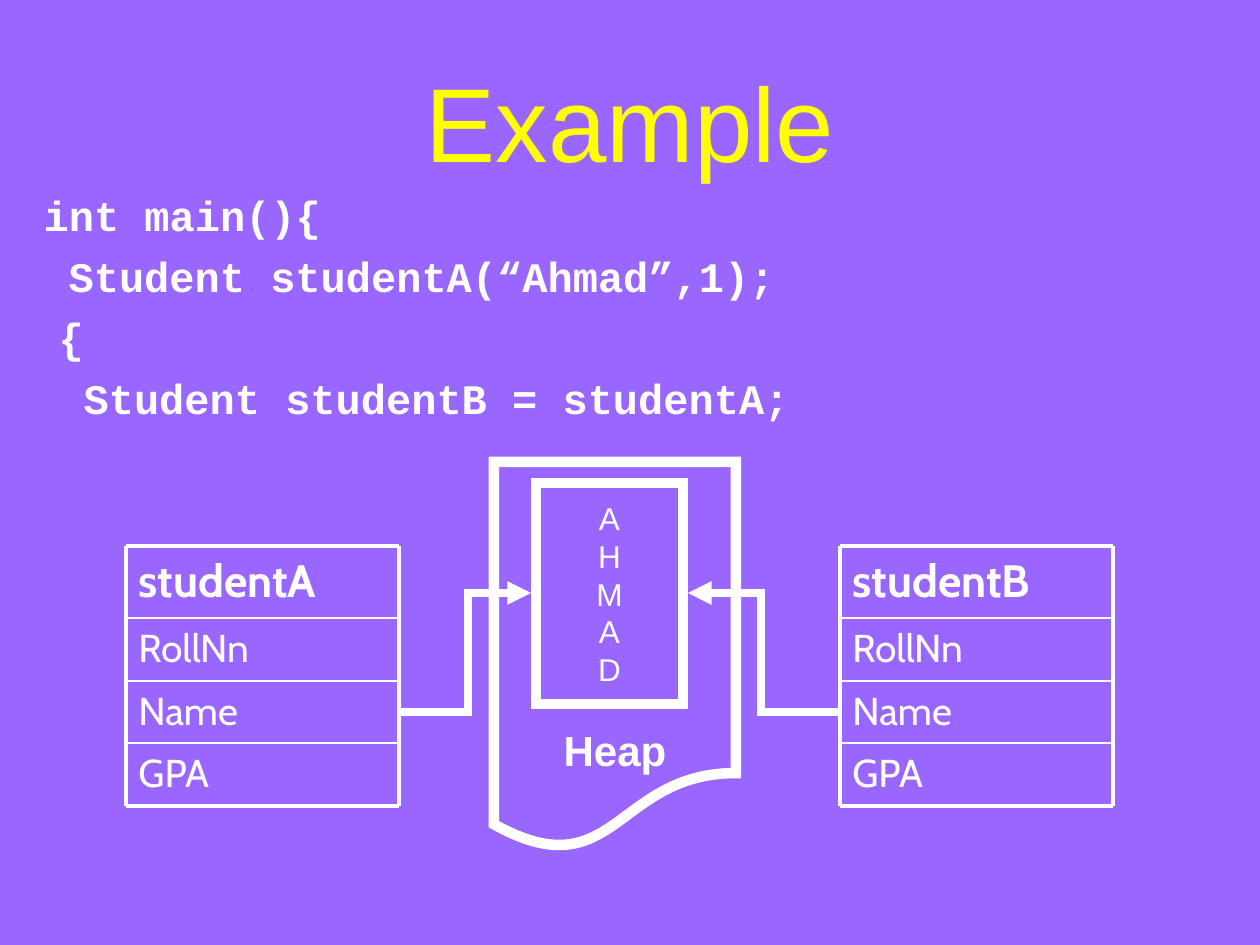
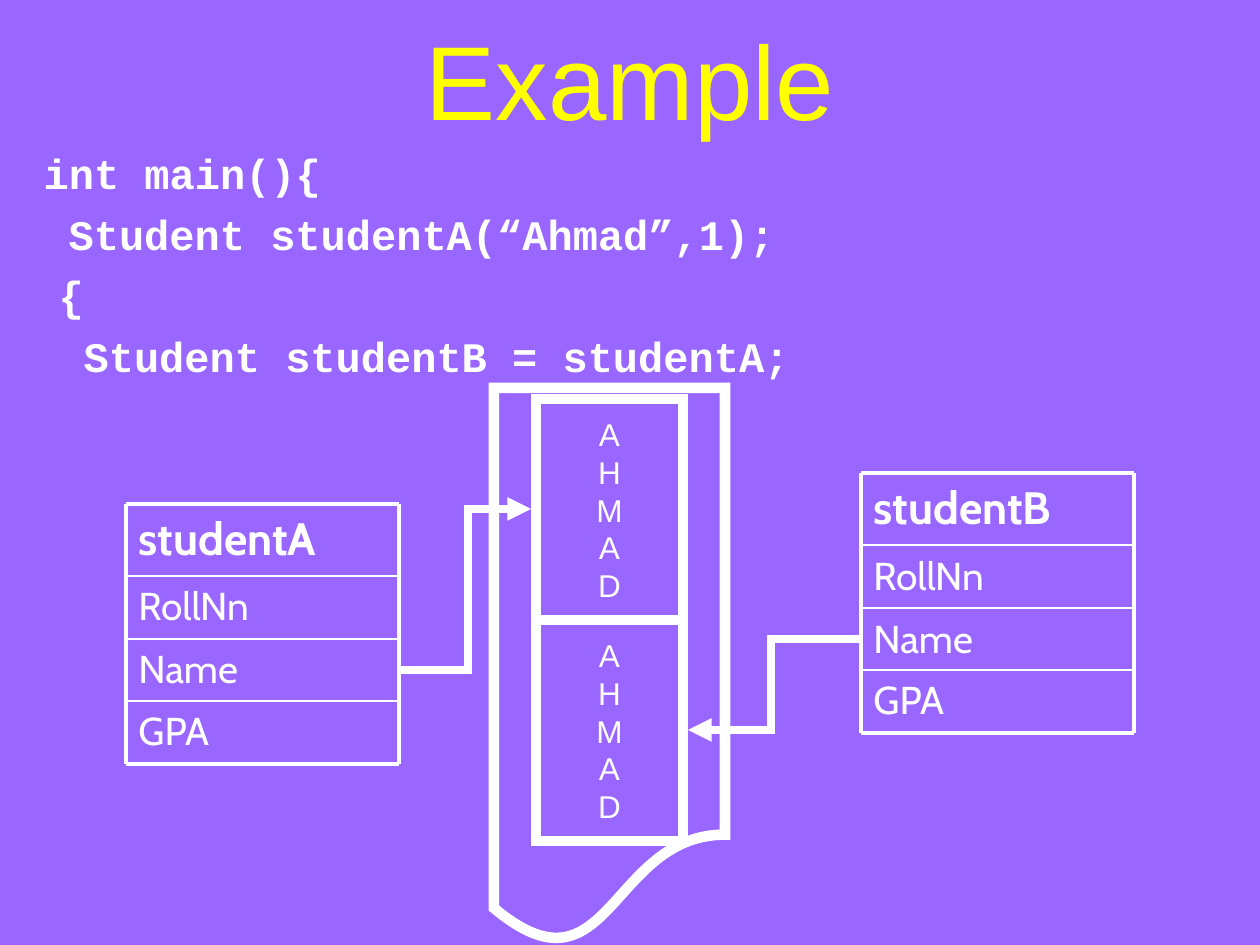
import dataclasses
import itertools

import lxml.etree
import pptx
import pptx.dml.color
import pptx.enum.shapes
import pptx.enum.text
import pptx.oxml.ns
import pptx.presentation
import pptx.shapes.autoshape
import pptx.shapes.connector
import pptx.slide
import pptx.text.text
import pptx.util

EMU_PER_PX = 914400 / 126
PURPLE, YELLOW, WHITE = "9966FF", "FFFF00", "FFFFFF"
OBJECT_WIDTH = 273
ROW_HEIGHTS = (72, 63, 62, 63)
ROW_EDGES = (0, *itertools.accumulate(ROW_HEIGHTS))
FIELDS = ("RollNn", "Name", "GPA")
NAME_ROW_MIDDLE = (ROW_EDGES[2] + ROW_EDGES[3]) // 2
HEAP_LEFT = 494
BUFFER_LEFT, BUFFER_WIDTH, BUFFER_HEIGHT = 536, 147, 221
BUFFER_EDGE = 5
CODE = (
    ("int main(){", 0),
    ("Student studentA(“Ahmad”,1);", 25),
    ("{", 15),
    ("Student studentB = studentA;", 40),
)


@dataclasses.dataclass(frozen=True)
class StudentObject:
    name: str
    left: int
    top: int
    buffer_top: int


@dataclasses.dataclass(frozen=True)
class Heap:
    top: int
    width: int
    height: int
    label: str = ""


@dataclasses.dataclass(frozen=True)
class Example:
    title_top: int
    heap: Heap
    students: tuple[StudentObject, ...]


EXAMPLES = (
    Example(42, Heap(462, 242, 388, "Heap"), (
        StudentObject("studentA", 126, 546, 483),
        StudentObject("studentB", 840, 546, 483),
    )),
    Example(0, Heap(388, 231, 557), (
        StudentObject("studentA", 126, 504, 399),
        StudentObject("studentB", 861, 473, 620),
    )),
)


def px(length: int) -> pptx.util.Emu:
    return pptx.util.Emu(round(length * EMU_PER_PX))


def color(value: str) -> pptx.dml.color.RGBColor:
    return pptx.dml.color.RGBColor.from_string(value)


def style(paragraph: pptx.text.text._Paragraph, font: str, size: float,
          ink: str = WHITE, bold: bool = False) -> None:
    paragraph.font.name = font
    paragraph.font.size = pptx.util.Pt(size)
    paragraph.font.bold = bold
    paragraph.font.color.rgb = color(ink)


def place(shape: pptx.shapes.autoshape.Shape, left: int, top: int, width: int, height: int) -> None:
    shape.left, shape.top, shape.width, shape.height = map(px, (left, top, width, height))


def write_title(slide: pptx.slide.Slide, top: int) -> None:
    title = slide.shapes.title
    place(title, 63, top, 1134, 157)
    title.text_frame.text = "Example"
    title.text_frame.auto_size = pptx.enum.text.MSO_AUTO_SIZE.NONE
    title.text_frame.vertical_anchor = pptx.enum.text.MSO_ANCHOR.MIDDLE
    style(title.text_frame.paragraphs[0], "Arial", 60, YELLOW)


def write_code(slide: pptx.slide.Slide, top: int) -> None:
    body = slide.placeholders[1]
    place(body, 31, top, 830, 252)
    frame = body.text_frame
    frame.auto_size = pptx.enum.text.MSO_AUTO_SIZE.NONE
    frame.text = "\n".join(line for line, _ in CODE)
    for paragraph, (_, indent) in zip(frame.paragraphs, CODE):
        style(paragraph, "Courier New", 24, bold=True)
        paragraph.space_before = pptx.util.Pt(6)
        properties = paragraph._p.get_or_add_pPr()
        properties.set("marL", str(px(indent)))
        properties.set("indent", "0")
        bullet = lxml.etree.SubElement(properties, pptx.oxml.ns.qn("a:buNone"))
        properties.find(pptx.oxml.ns.qn("a:defRPr")).addprevious(bullet)


def draw_outline(slide: pptx.slide.Slide, kind: pptx.enum.shapes.MSO_SHAPE, left: int, top: int,
                 width: int, height: int, text: str, size: int,
                 bold: bool = False) -> pptx.shapes.autoshape.Shape:
    outline = slide.shapes.add_shape(kind, *map(px, (left, top, width, height)))
    outline.shadow.inherit = False
    outline.fill.background()
    outline.line.color.rgb = color(WHITE)
    outline.line.width = pptx.util.Pt(6)
    miter_corners(outline)
    if text:
        frame = outline.text_frame
        frame.word_wrap = False
        frame.vertical_anchor = pptx.enum.text.MSO_ANCHOR.MIDDLE
        frame.text = text
        for paragraph in frame.paragraphs:
            paragraph.alignment = pptx.enum.text.PP_ALIGN.CENTER
            style(paragraph, "Arial", size, bold=bold)
    return outline


def miter_corners(
        shape: pptx.shapes.autoshape.Shape | pptx.shapes.connector.Connector) -> None:
    line = shape.line._get_or_add_ln()
    lxml.etree.SubElement(line, pptx.oxml.ns.qn("a:miter"), lim="800000")


def draw_heap(slide: pptx.slide.Slide, heap: Heap) -> None:
    region = draw_outline(slide, pptx.enum.shapes.MSO_SHAPE.FLOWCHART_DOCUMENT,
                          HEAP_LEFT, heap.top, heap.width, heap.height, heap.label, 24, True)
    if heap.label:
        region.text_frame.vertical_anchor = pptx.enum.text.MSO_ANCHOR.BOTTOM
        region.text_frame.margin_bottom = px(-2)


def connect(slide: pptx.slide.Slide, kind: pptx.enum.shapes.MSO_CONNECTOR,
            start: tuple[int, int], end: tuple[int, int],
            width: float) -> pptx.shapes.connector.Connector:
    connector = slide.shapes.add_connector(kind, *map(px, start + end))
    connector.line.color.rgb = color(WHITE)
    connector.line.width = pptx.util.Pt(width)
    lxml.etree.SubElement(connector._element.spPr, pptx.oxml.ns.qn("a:effectLst"))
    return connector


def draw_student(slide: pptx.slide.Slide, student: StudentObject) -> None:
    for index, text in enumerate((student.name, *FIELDS)):
        bounds = (student.left, student.top + ROW_EDGES[index], OBJECT_WIDTH, ROW_HEIGHTS[index])
        frame = slide.shapes.add_textbox(*map(px, bounds)).text_frame
        frame.word_wrap = True
        frame.text = text
        style(frame.paragraphs[0], "Cabin", 22.2 if index else 25.9, bold=index == 0)

    straight = pptx.enum.shapes.MSO_CONNECTOR.STRAIGHT
    right, bottom = student.left + OBJECT_WIDTH, student.top + ROW_EDGES[-1]
    for edge in ROW_EDGES:
        y = student.top + edge
        connect(slide, straight, (student.left, y), (right, y),
                2.25 if y in (student.top, bottom) else 1)
    for x in (student.left, right):
        connect(slide, straight, (x, student.top), (x, bottom), 2.25)


def draw_pointer(slide: pptx.slide.Slide, student: StudentObject) -> None:
    if student.left < BUFFER_LEFT:
        start, end = student.left + OBJECT_WIDTH, BUFFER_LEFT - BUFFER_EDGE
    else:
        start, end = student.left, BUFFER_LEFT + BUFFER_WIDTH + BUFFER_EDGE
    pointer = connect(slide, pptx.enum.shapes.MSO_CONNECTOR.ELBOW,
                      (start, student.top + NAME_ROW_MIDDLE),
                      (end, student.buffer_top + BUFFER_HEIGHT // 2), 4.5)
    miter_corners(pointer)
    line = pointer.line._get_or_add_ln()
    lxml.etree.SubElement(line, pptx.oxml.ns.qn("a:tailEnd"), type="triangle")
    guides = pointer._element.spPr.find(".//" + pptx.oxml.ns.qn("a:avLst"))
    lxml.etree.SubElement(guides, pptx.oxml.ns.qn("a:gd"), name="adj1", fmla="val 52000")


def build_example(presentation: pptx.presentation.Presentation, example: Example) -> None:
    slide = presentation.slides.add_slide(presentation.slide_layouts[1])
    write_title(slide, example.title_top)
    write_code(slide, example.title_top + 141)
    draw_heap(slide, example.heap)
    for buffer_top in sorted({student.buffer_top for student in example.students}):
        draw_outline(slide, pptx.enum.shapes.MSO_SHAPE.RECTANGLE, BUFFER_LEFT, buffer_top,
                     BUFFER_WIDTH, BUFFER_HEIGHT, "\n".join("AHMAD"), 18)
    for student in example.students:
        draw_student(slide, student)
        draw_pointer(slide, student)


def main() -> None:
    presentation = pptx.Presentation()
    presentation.slide_width, presentation.slide_height = px(1260), px(945)
    background = presentation.slide_master.background.fill
    background.solid()
    background.fore_color.rgb = color(PURPLE)
    for example in EXAMPLES:
        build_example(presentation, example)
    presentation.save("out.pptx")


if __name__ == "__main__":
    main()
